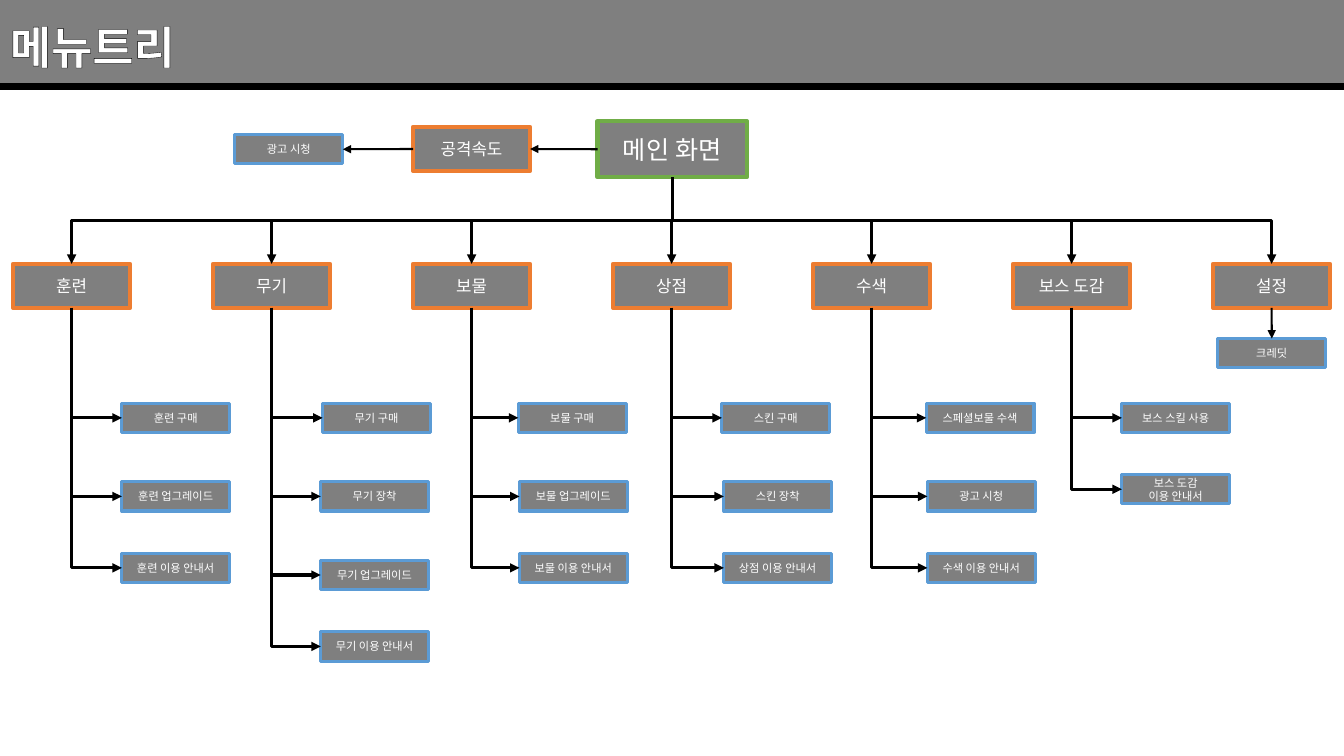
"""Build the menu tree slide of a game."""
from lxml.etree import SubElement
from pptx import Presentation
from pptx.dml.color import RGBColor
from pptx.enum.shapes import MSO_CONNECTOR, MSO_SHAPE
from pptx.enum.text import MSO_ANCHOR, MSO_AUTO_SIZE, PP_ALIGN
from pptx.oxml.ns import qn
from pptx.util import Cm, Pt

TOP, LEFT, BOTTOM, RIGHT = range(4)
SLIDE_WIDTH, SLIDE_HEIGHT = 33.87, 19.05
HEADER_HEIGHT = 2.18
MENU_LEFT, MENU_TOP, MENU_STEP = 0.33, 6.65, 5.04
ITEM_TOP, ITEM_STEP, GUIDE_STEP = 10.16, 1.98, 1.8
MAIN = (3.76, 1.42, "70AD47", 18, 3)
MENU = (2.95, 1.11, "ED7D31", 12, 3)
ITEM = (2.72, 0.74, "5B9BD5", 8, 2.25)

BRANCHES = [
    ("훈련", 3.07, 3.07, ["훈련 구매", "훈련 업그레이드", "훈련 이용 안내서"]),
    ("무기", 8.13, 8.08, ["무기 구매", "무기 장착", "무기 업그레이드", "무기 이용 안내서"]),
    ("보물", 13.06, 13.09, ["보물 구매", "보물 업그레이드", "보물 이용 안내서"]),
    ("상점", 18.19, 18.24, ["스킨 구매", "스킨 장착", "상점 이용 안내서"]),
    ("수색", 23.34, 23.37, ["스페셜보물 수색", "광고 시청", "수색 이용 안내서"]),
    ("보스 도감", 28.27, 28.27, ["보스 스킬 사용", "보스 도감\n이용 안내서"]),
    ("설정", 0, 0, []),
]


def color(value):
    return RGBColor.from_string(value)


class MenuTree:
    """Style and drawing methods for the current slide."""

    typeface = "Noto Sans CJK KR"
    ink = "000000"
    paper = "FFFFFF"
    gray = "7F7F7F"

    def __init__(self, slide):
        self.shapes = slide.shapes

    def label(self, frame, text, size, align, bold=False):
        frame.word_wrap = True
        frame.text = text
        for paragraph in frame.paragraphs:
            paragraph.alignment = align
            font = paragraph.font
            font.name, font.size, font.bold = self.typeface, Pt(size), bold
            font.color.rgb = color(self.paper)
            defaults = paragraph._p.pPr.find(qn("a:defRPr"))
            SubElement(defaults, qn("a:ea"), typeface=self.typeface)

    def header(self, text):
        band = self.shapes.add_shape(
            MSO_SHAPE.RECTANGLE, 0, 0, Cm(SLIDE_WIDTH), Cm(HEADER_HEIGHT))
        band.shadow.inherit = False
        band.fill.solid()
        band.fill.fore_color.rgb = color(self.ink)
        tint = band.element.spPr.find(qn("a:solidFill"))[0]
        SubElement(tint, qn("a:alpha"), val="50000")
        band.line.fill.background()

        rule = self.shapes.add_connector(
            MSO_CONNECTOR.STRAIGHT, 0, Cm(HEADER_HEIGHT), Cm(SLIDE_WIDTH), Cm(HEADER_HEIGHT))
        self.stroke(rule, 4.5)

        title = self.shapes.add_textbox(0, Cm(0.36), Cm(13.87), Cm(1.63))
        title.text_frame.auto_size = MSO_AUTO_SIZE.SHAPE_TO_FIT_TEXT
        self.label(title.text_frame, text, 32, PP_ALIGN.LEFT, bold=True)
        run = title.text_frame.paragraphs[0].runs[0]
        outline = SubElement(run._r.get_or_add_rPr(), qn("a:ln"), w=str(Pt(1.5)))
        SubElement(SubElement(outline, qn("a:solidFill")), qn("a:srgbClr"), val=self.ink)

    def box(self, text, left, top, style):
        width, height, border, size, weight = style
        box = self.shapes.add_shape(
            MSO_SHAPE.RECTANGLE, Cm(left), Cm(top), Cm(width), Cm(height))
        box.shadow.inherit = False
        box.fill.solid()
        box.fill.fore_color.rgb = color(self.gray)
        box.line.color.rgb = color(border)
        box.line.width = Pt(weight)
        box.text_frame.vertical_anchor = MSO_ANCHOR.MIDDLE
        self.label(box.text_frame, text, size, PP_ALIGN.CENTER)
        return box

    def stroke(self, connector, weight, arrow=False):
        connector.line.color.rgb = color(self.ink)
        connector.line.width = Pt(weight)
        properties = connector.element.spPr
        if arrow:
            SubElement(properties.find(qn("a:ln")), qn("a:tailEnd"), type="triangle")
        SubElement(properties, qn("a:effectLst"))

    def link(self, kind, parent, start, child, end):
        connector = self.shapes.add_connector(kind, 0, 0, 0, 0)
        connector.begin_connect(parent, start)
        connector.end_connect(child, end)
        return connector

    def arrow(self, parent, start, child, end):
        connector = self.link(MSO_CONNECTOR.STRAIGHT, parent, start, child, end)
        self.stroke(connector, 1.5, arrow=True)

    def elbow(self, parent, child, end, preset):
        connector = self.link(MSO_CONNECTOR.ELBOW, parent, BOTTOM, child, end)
        across = connector.end_x - connector.begin_x
        drop = connector.end_y - connector.begin_y
        middle_x = (connector.begin_x + connector.end_x) // 2
        middle_y = (connector.begin_y + connector.end_y) // 2
        connector.left = middle_x - drop // 2
        connector.top = middle_y - abs(across) // 2
        connector.width, connector.height = drop, abs(across)
        properties = connector.element.spPr
        properties.xfrm.flipH = across > 0
        properties.xfrm.flipV = False
        properties.xfrm.rot = 270 if across > 0 else 90
        properties.find(qn("a:prstGeom")).set("prst", preset)
        self.stroke(connector, 2.25, arrow=True)


def main():
    deck = Presentation()
    deck.slide_width, deck.slide_height = Cm(SLIDE_WIDTH), Cm(SLIDE_HEIGHT)
    tree = MenuTree(deck.slides.add_slide(deck.slide_layouts[6]))
    tree.header("메뉴트리")

    main_screen = tree.box("메인 화면", 15.06, 3.05, MAIN)
    attack_speed = tree.box("공격속도", MENU_LEFT + 2 * MENU_STEP, 3.2, MENU)
    watch_ad = tree.box("광고 시청", 5.92, 3.39, ITEM)
    tree.arrow(main_screen, LEFT, attack_speed, RIGHT)
    tree.arrow(attack_speed, LEFT, watch_ad, RIGHT)

    for column, (name, first_left, left, items) in enumerate(BRANCHES):
        menu = tree.box(name, MENU_LEFT + column * MENU_STEP, MENU_TOP, MENU)
        tree.elbow(main_screen, menu, TOP, "bentConnector3")
        for row, text in enumerate(items):
            top = ITEM_TOP + row * ITEM_STEP
            if row == len(items) - 1:
                top += GUIDE_STEP - ITEM_STEP
            item = tree.box(text, left if row else first_left, top, ITEM)
            tree.elbow(menu, item, LEFT, "bentConnector2")

    settings = menu
    credit = tree.box("크레딧", 30.69, 8.53, ITEM)
    tree.arrow(settings, BOTTOM, credit, TOP)
    deck.save("out.pptx")


if __name__ == "__main__":
    main()
